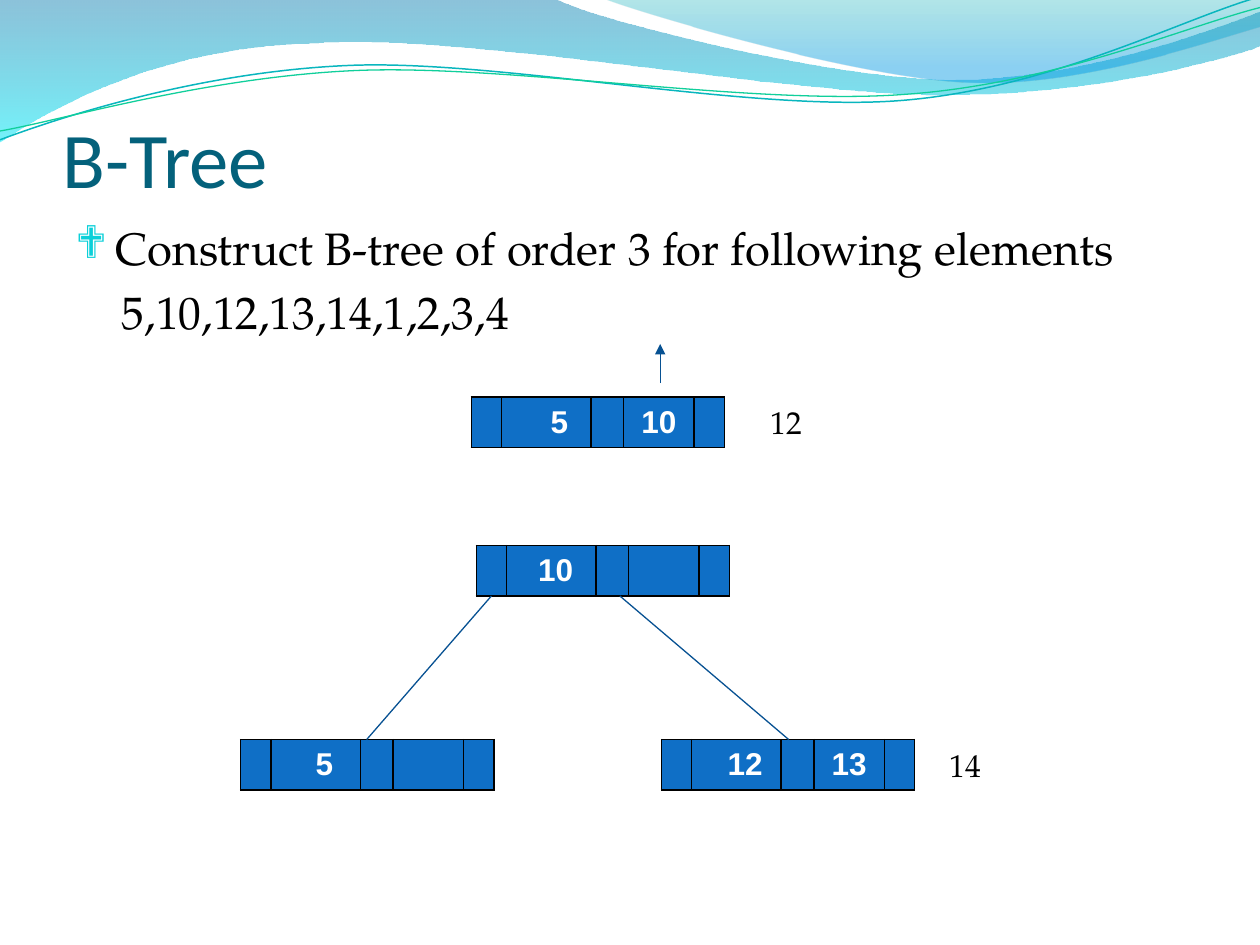
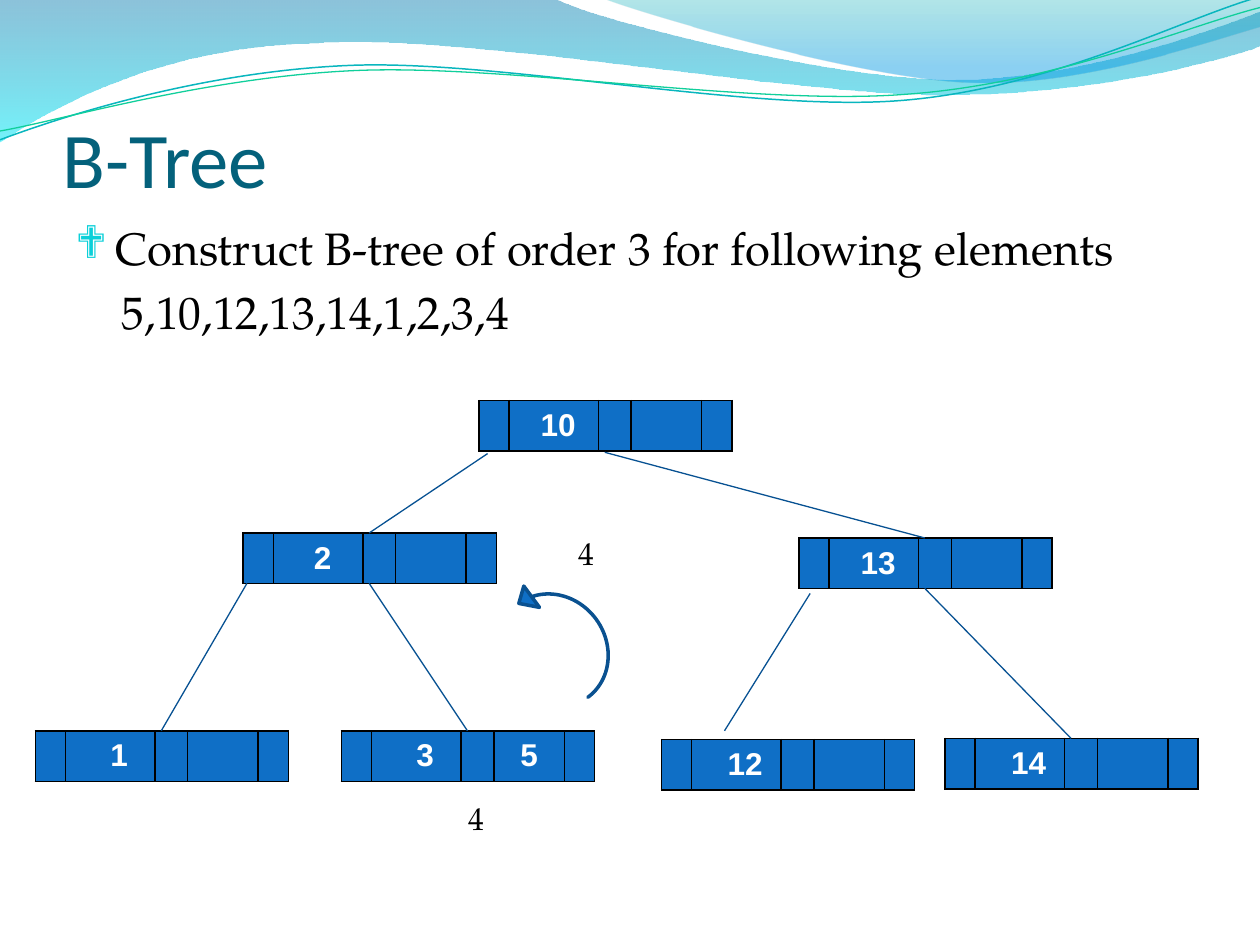
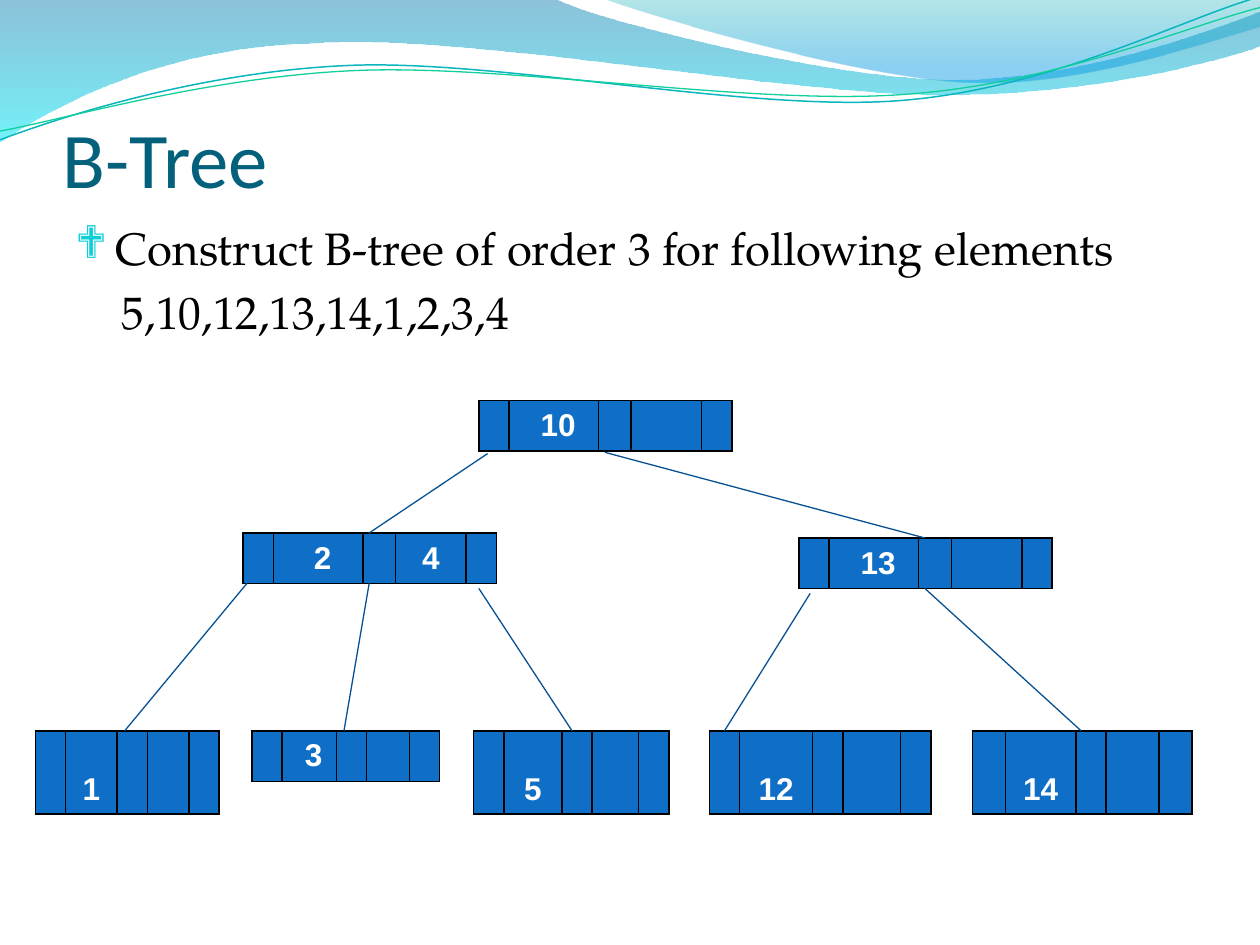
from lxml.etree import SubElement
from pptx import Presentation
from pptx.dml.color import RGBColor
from pptx.enum.shapes import MSO_CONNECTOR, MSO_SHAPE
from pptx.enum.text import MSO_ANCHOR as ANCHOR, PP_ALIGN as ALIGN
from pptx.oxml.ns import qn
from pptx.util import Inches, Pt

# Shared look
TITLE_COLOR = RGBColor(0x04, 0x61, 0x7B)
BULLET_COLOR = RGBColor(0x0B, 0xD0, 0xD9)
NODE_FILL = RGBColor(0x0F, 0x6F, 0xC6)
LINK_COLOR = RGBColor(0x07, 0x51, 0x92)
ARROW_LINE = RGBColor(0x0A, 0x51, 0x90)
BLACK = RGBColor(0, 0, 0)
WHITE = RGBColor(255, 255, 255)
WAVE_TEAL = RGBColor(0x09, 0xB6, 0xBE)
WAVE_GREEN = RGBColor(0x10, 0xCF, 0x9B)
TITLE_FONT, BODY_FONT, KEY_FONT = "Calibri", "TeX Gyre Pagella", "Arial"

# Waves: a start point, then curves (six numbers) and straight lines (two).
# Gradient stops are position, colour and opacity in percent.
BANDS = [
    ([(0, 0), (4.4, -0.01), (4.76, 0.17, 6.64, 0.63, 7.58, 0.63),
      (8.53, 0.63, 9.58, 0.26, 10, 0.09), (10.01, 0.36),
      (9.83, 0.44, 8.7, 0.76, 7.46, 0.75), (6.22, 0.75, 3.82, 0.28, 2.57, 0.34),
      (1.29, 0.36, 0.46, 0.83, -0.01, 1.13)],
     [(0, RGBColor(0x00, 0x79, 0xAD), 45), (100, RGBColor(0x00, 0xE9, 0xF7), 55)]),
    ([(4.79, -0.01), (5.09, 0.11, 6.82, 0.62, 7.69, 0.65),
      (8.56, 0.69, 9.61, 0.32, 10, 0.21), (10, 0)],
     [(0, RGBColor(0x00, 0xAB, 0xB4), 30), (80, RGBColor(0x00, 0x99, 0xE4), 45),
      (100, RGBColor(0x00, 0x99, 0xE4), 45)]),
]
STRANDS = [
    ([(0, 1.11), (0.48, 0.93, 1.58, 0.57, 2.77, 0.52),
      (3.95, 0.47, 5.93, 0.89, 7.13, 0.8), (8.33, 0.71, 9.38, 0.15, 9.98, -0.02)],
     WAVE_TEAL, 0.85),
    ([(0, 1.04), (0.47, 0.96, 1.64, 0.61, 2.83, 0.56),
      (4.03, 0.51, 5.97, 0.84, 7.17, 0.75), (8.36, 0.67, 9.41, 0.21, 10, 0.06)],
     WAVE_GREEN, 0.75),
]

# Nodes: left, top, first key, its shift in steps, second key, column widths, height
WIDE = (0.24, 0.71, 0.26, 0.56, 0.24)
LOW, HIGH = 0.4, 0.66
SHIFT_STEP = 0.07
UPPER_NODES = [(3.8, 3.18, "10", 1, "", WIDE, LOW), (6.34, 4.27, "13", 1, "", WIDE, LOW)]
UPPER_LINKS = [(3.87, 3.6, 2.93, 4.23), (4.8, 3.59, 7.34, 4.27), (6.43, 4.71, 5.75, 5.8)]

SLIDES = [
    {"nodes": [(3.74, 3.15, "5", 3, "10", WIDE, LOW),
               (3.78, 4.33, "10", 1, "", WIDE, LOW),
               (1.91, 5.87, "5", 2, "", WIDE, LOW),
               (5.25, 5.87, "12", 2, "13", WIDE, LOW)],
     "links": [(3.9, 4.73, 2.91, 5.87), (4.92, 4.73, 6.26, 5.87)],
     "labels": [("12", 6.02, 3.15, 0.79), ("14", 7.44, 5.87, 0.65)],
     "arrows": [(5.24, 3.04, 5.24, 2.73)],
     "curved": []},
    {"nodes": [(1.93, 4.23, "2", 1, "", WIDE, LOW),
               (0.28, 5.8, "1", 2, "", WIDE, LOW),
               (5.25, 5.87, "12", 2, "", WIDE, LOW),
               (7.5, 5.86, "14", 2, "", WIDE, LOW),
               *UPPER_NODES,
               (2.71, 5.8, "3", 2, "5", WIDE, LOW)],
     "links": UPPER_LINKS + [(1.96, 4.63, 1.28, 5.8), (2.93, 4.63, 3.71, 5.8),
                             (7.34, 4.67, 8.5, 5.86)],
     "labels": [("4", 3.62, 6.29, 0.55), ("4", 4.49, 4.19, 0.55)],
     "arrows": [],
     "curved": [(4.32, 4.48, 0.42, 1.03)]},
    {"nodes": [(1.93, 4.23, "2", 1, "4", WIDE, LOW),
               (0.28, 5.8, "1", 0, "", (0.24, 0.41, 0.24, 0.33, 0.23), HIGH),
               (5.63, 5.8, "12", 0, "", (0.24, 0.58, 0.23, 0.46, 0.24), HIGH),
               (7.72, 5.8, "14", 0, "", (0.26, 0.56, 0.23, 0.42, 0.26), HIGH),
               *UPPER_NODES,
               (2, 5.8, "3", 1, "", (0.23, 0.43, 0.24, 0.34, 0.24), LOW),
               (3.76, 5.8, "5", 0, "", (0.24, 0.46, 0.24, 0.37, 0.24), HIGH)],
     "links": UPPER_LINKS + [(1.96, 4.63, 0.99, 5.8), (2.93, 4.63, 2.73, 5.8),
                             (3.8, 4.67, 4.54, 5.8), (7.34, 4.67, 8.58, 5.8)],
     "labels": [], "arrows": [], "curved": []},
]


def draw_wave(page, outline, close):
    """Build the outline from its end points, then bend the curved parts."""
    ends = [(Inches(part[-2]), Inches(part[-1])) for part in outline]
    builder = page.shapes.build_freeform(*ends[0], scale=1.0)
    builder.add_line_segments(ends[1:], close=close)
    wave = builder.convert_to_shape()
    wave.shadow.inherit = False
    segments = list(wave._element.iter(qn("a:lnTo")))
    for segment, part in zip(segments, outline[1:]):
        if len(part) == 6:
            segment.tag = qn("a:cubicBezTo")
            end = segment[0]
            for x, y in (part[0:2], part[2:4]):
                SubElement(segment, qn("a:pt"), x=str(Inches(x) - wave.left),
                           y=str(Inches(y) - wave.top))
            segment.append(end)
    return wave


def add_text(page, place, lines, font, size, color, insets=(0.1, 0.05, 0.1, 0.05)):
    box = page.shapes.add_textbox(*[Inches(value) for value in place])
    frame = box.text_frame
    frame.word_wrap = True
    frame.margin_left, frame.margin_top, frame.margin_right, frame.margin_bottom = [
        Inches(value) for value in insets]
    frame.text = "\n".join(lines)
    for para in frame.paragraphs:
        for span in para.runs:
            span.font.name, span.font.size = font, Pt(size)
            span.font.color.rgb = color
    return frame


deck = Presentation()
deck.slide_width, deck.slide_height = Inches(10), Inches(7.5)

for content in SLIDES:
    page = deck.slides.add_slide(deck.slide_layouts[6])

    # Waves at the top
    for outline, stops in BANDS:
        band = draw_wave(page, outline, True)
        band.fill.gradient()
        band.fill.gradient_angle = 270
        stop_list = band._element.spPr.find(qn("a:gradFill")).find(qn("a:gsLst"))
        for old_stop in list(stop_list):
            stop_list.remove(old_stop)
        for position, color, opacity in stops:
            stop = SubElement(stop_list, qn("a:gs"), pos=str(position * 1000))
            tint = SubElement(stop, qn("a:srgbClr"), val=str(color))
            SubElement(tint, qn("a:alpha"), val=str(opacity * 1000))
        band.line.fill.background()
    for outline, color, width in STRANDS:
        strand = draw_wave(page, outline, False)
        strand.fill.background()
        strand.line.color.rgb = color
        strand.line.width = Pt(width)

    # Title and task
    title = add_text(page, (0.5, 0.77, 9, 0.85), ["B-Tree"], TITLE_FONT, 45,
                     TITLE_COLOR, (0, 0.05, 0, 0))
    title.vertical_anchor = ANCHOR.BOTTOM
    task = add_text(page, (0.5, 1.7, 9, 5.21),
                    ["Construct B-tree of order 3 for following elements",
                     "5,10,12,13,14,1,2,3,4"], BODY_FONT, 26, BLACK)
    heading, elements = task.paragraphs
    bullet = heading._p.get_or_add_pPr()
    bullet.set("marL", str(Inches(0.32)))
    bullet.set("indent", str(Inches(-0.32)))
    bullet_color = SubElement(bullet, qn("a:buClr"))
    SubElement(bullet_color, qn("a:srgbClr"), val=str(BULLET_COLOR))
    SubElement(bullet, qn("a:buFont"), typeface="Wingdings")
    SubElement(bullet, qn("a:buChar"), char="❖")
    elements.space_before = Pt(5.2)
    elements._p.get_or_add_pPr().set("marL", str(Inches(0.37)))

    # Tree nodes
    for left, top, first_key, shift, second_key, widths, height in content["nodes"]:
        frame = page.shapes.add_table(1, len(widths), Inches(left), Inches(top),
                                      Inches(sum(widths)), Inches(height))
        table = frame.table
        table.first_row = table.horz_banding = False
        for index, key in enumerate(("", first_key, "", second_key, "")):
            table.columns[index].width = Inches(widths[index])
            cell = table.cell(0, index)
            cell.vertical_anchor = ANCHOR.BOTTOM if height == HIGH else ANCHOR.MIDDLE
            for side in ("a:lnL", "a:lnR", "a:lnT", "a:lnB"):
                border = SubElement(cell._tc.get_or_add_tcPr(), qn(side), w=str(Pt(1)))
                border_fill = SubElement(border, qn("a:solidFill"))
                SubElement(border_fill, qn("a:srgbClr"), val=str(BLACK))
            cell.fill.solid()
            cell.fill.fore_color.rgb = NODE_FILL
            if key:
                cell.margin_left = Inches(0.1 + SHIFT_STEP * shift * (index == 1))
                cell.text_frame.text = key
                para = cell.text_frame.paragraphs[0]
                para.alignment = ALIGN.CENTER
                font = para.runs[0].font
                font.name, font.size, font.bold = KEY_FONT, Pt(18), True
                font.color.rgb = WHITE

    # Links between nodes, and arrows for keys moving up
    for ends in content["links"] + content["arrows"]:
        link = page.shapes.add_connector(MSO_CONNECTOR.STRAIGHT,
                                         *[Inches(value) for value in ends])
        link.line.color.rgb = LINK_COLOR
        link.line.width = Pt(0.75)
        if ends in content["arrows"]:
            SubElement(link._element.spPr.find(qn("a:ln")), qn("a:tailEnd"),
                       type="triangle")
        SubElement(link._element.spPr, qn("a:effectLst"))

    for place in content["curved"]:
        arrow = page.shapes.add_shape(MSO_SHAPE.CURVED_LEFT_ARROW,
                                      *[Inches(value) for value in place])
        for index, value in enumerate((0, 0.5, 0.27)):
            arrow.adjustments[index] = value
        arrow.rotation = 143.7
        arrow._element.spPr.find(qn("a:xfrm")).set("flipH", "1")
        arrow.shadow.inherit = False
        arrow.fill.solid()
        arrow.fill.fore_color.rgb = NODE_FILL
        arrow.line.color.rgb = ARROW_LINE
        arrow.line.width = Pt(2)

    # Keys waiting to be inserted
    for key, left, top, width in content["labels"]:
        add_text(page, (left, top, width, 0.4), [key], BODY_FONT, 18, BLACK)

deck.save("out.pptx")
